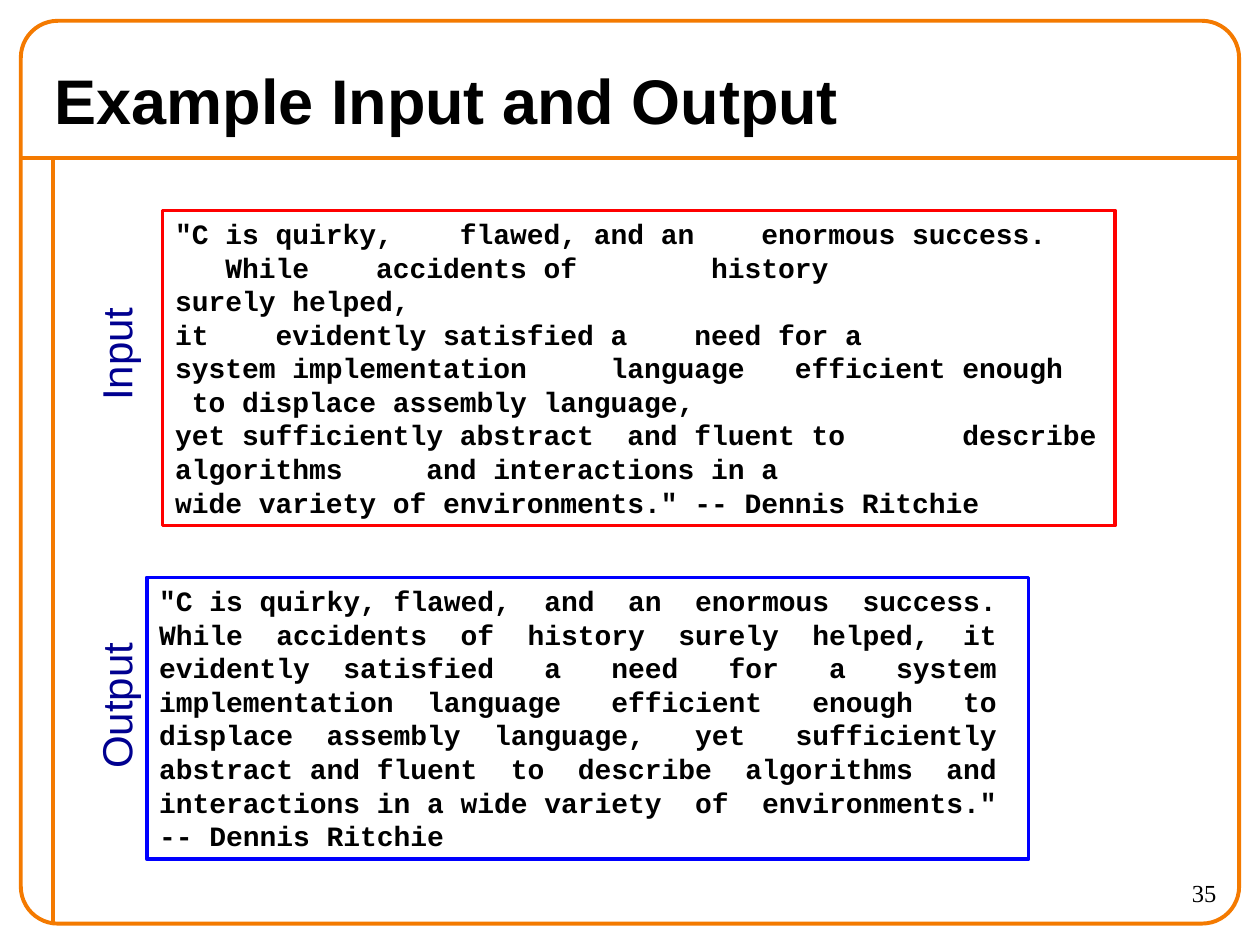
import pptx
import pptx.util
import pptx.dml.color
import pptx.enum.shapes
import pptx.enum.text
import pptx.oxml.ns
import lxml.etree

Cm, Pt = pptx.util.Cm, pptx.util.Pt
RGBColor = pptx.dml.color.RGBColor
MSO_SHAPE = pptx.enum.shapes.MSO_SHAPE
PP_ALIGN = pptx.enum.text.PP_ALIGN
MSO_AUTO_SIZE = pptx.enum.text.MSO_AUTO_SIZE
MSO_ANCHOR = pptx.enum.text.MSO_ANCHOR

ORANGE = RGBColor(0xF4, 0x7A, 0x00)
RED = RGBColor(0xFF, 0x00, 0x00)
BLUE = RGBColor(0x00, 0x00, 0xFF)
NAVY = RGBColor(0x00, 0x00, 0x90)
BLACK = RGBColor(0x00, 0x00, 0x00)

INPUT_LINES = [
    '"C is quirky,    flawed, and an    enormous success.',
    '   While    accidents of        history',
    'surely helped,',
    'it    evidently satisfied a    need for a',
    'system implementation     language   efficient enough',
    ' to displace assembly language,',
    'yet sufficiently abstract  and fluent to       describe',
    'algorithms     and interactions in a',
    'wide variety of environments." -- Dennis Ritchie',
]
OUTPUT_LINES = [
    '"C is quirky, flawed,  and  an  enormous  success.',
    'While  accidents  of  history  surely  helped,  it',
    'evidently  satisfied   a   need   for   a   system',
    'implementation  language   efficient   enough   to',
    'displace  assembly  language,   yet   sufficiently',
    'abstract and fluent  to  describe  algorithms  and',
    'interactions in a wide variety  of  environments."',
    '-- Dennis Ritchie',
]


def write_lines(frame, lines, font_name, size, color, bold=False, align=PP_ALIGN.LEFT):
    for index, line in enumerate(lines):
        paragraph = frame.paragraphs[0] if index == 0 else frame.add_paragraph()
        paragraph.alignment = align
        run = paragraph.add_run()
        run.text = line
        run.font.name = font_name
        run.font.size = Pt(size)
        run.font.bold = bold
        run.font.color.rgb = color


presentation = pptx.Presentation()
presentation.slide_width = Cm(25.4)
presentation.slide_height = Cm(19.05)
slide = presentation.slides.add_slide(presentation.slide_layouts[5])
shapes = slide.shapes

# Orange frame with its two rules
frame = shapes.add_shape(MSO_SHAPE.ROUNDED_RECTANGLE, Cm(0.42), Cm(0.42), Cm(24.56), Cm(18.2))
frame.adjustments[0] = 0.041
frame.shadow.inherit = False
frame.fill.background()
frame.line.color.rgb = ORANGE
frame.line.width = Pt(2.25)

for x1, y1, x2, y2 in [(0.42, 3.18, 24.98, 3.18), (1.06, 3.18, 1.06, 18.62)]:
    rule = shapes.add_connector(
        pptx.enum.shapes.MSO_CONNECTOR.STRAIGHT, Cm(x1), Cm(y1), Cm(x2), Cm(y2))
    rule.line.color.rgb = ORANGE
    rule.line.width = Pt(2.25)
    lxml.etree.SubElement(rule.element.spPr, pptx.oxml.ns.qn("a:effectLst"))

# Title
title = shapes.title
title.left, title.top, title.width, title.height = Cm(0.85), Cm(1.06), Cm(23.7), Cm(1.9)
title.text_frame.vertical_anchor = MSO_ANCHOR.MIDDLE
write_lines(title.text_frame, ["Example Input and Output"], "Arial", 36, BLACK, bold=True)

# Sample texts, each box a little wider than its longest line
for lines, color, left, top, width, height in [
    (INPUT_LINES, RED, 3.28, 4.24, 19.2, 6.36),
    (OUTPUT_LINES, BLUE, 2.96, 11.64, 17.78, 5.68),
]:
    sample = shapes.add_shape(MSO_SHAPE.RECTANGLE, Cm(left), Cm(top), Cm(width), Cm(height))
    sample.shadow.inherit = False
    sample.fill.background()
    sample.line.color.rgb = color
    sample.line.width = Pt(2)
    sample.text_frame.word_wrap = True
    sample.text_frame.margin_right = Cm(0.1)
    sample.text_frame.auto_size = MSO_AUTO_SIZE.SHAPE_TO_FIT_TEXT
    sample.text_frame.vertical_anchor = MSO_ANCHOR.TOP
    write_lines(sample.text_frame, lines, "Courier New", 16, BLACK, bold=True)

# Rotated labels beside the samples
for word, left, top, width in [("Input", 1.14, 6.5, 2.39), ("Output", 0.81, 13.59, 3.05)]:
    label = shapes.add_textbox(Cm(left), Cm(top), Cm(width), Cm(1.27))
    label.rotation = 270
    label.text_frame.word_wrap = False
    label.text_frame.auto_size = MSO_AUTO_SIZE.SHAPE_TO_FIT_TEXT
    write_lines(label.text_frame, [word], "Arial", 24, NAVY)

# Page number
page_number = shapes.add_textbox(Cm(22.23), Cm(17.57), Cm(2.54), Cm(1.06))
page_number.text_frame.word_wrap = True
write_lines(page_number.text_frame, ["35"], "Times New Roman", 14, BLACK, align=PP_ALIGN.RIGHT)

presentation.save("out.pptx")
